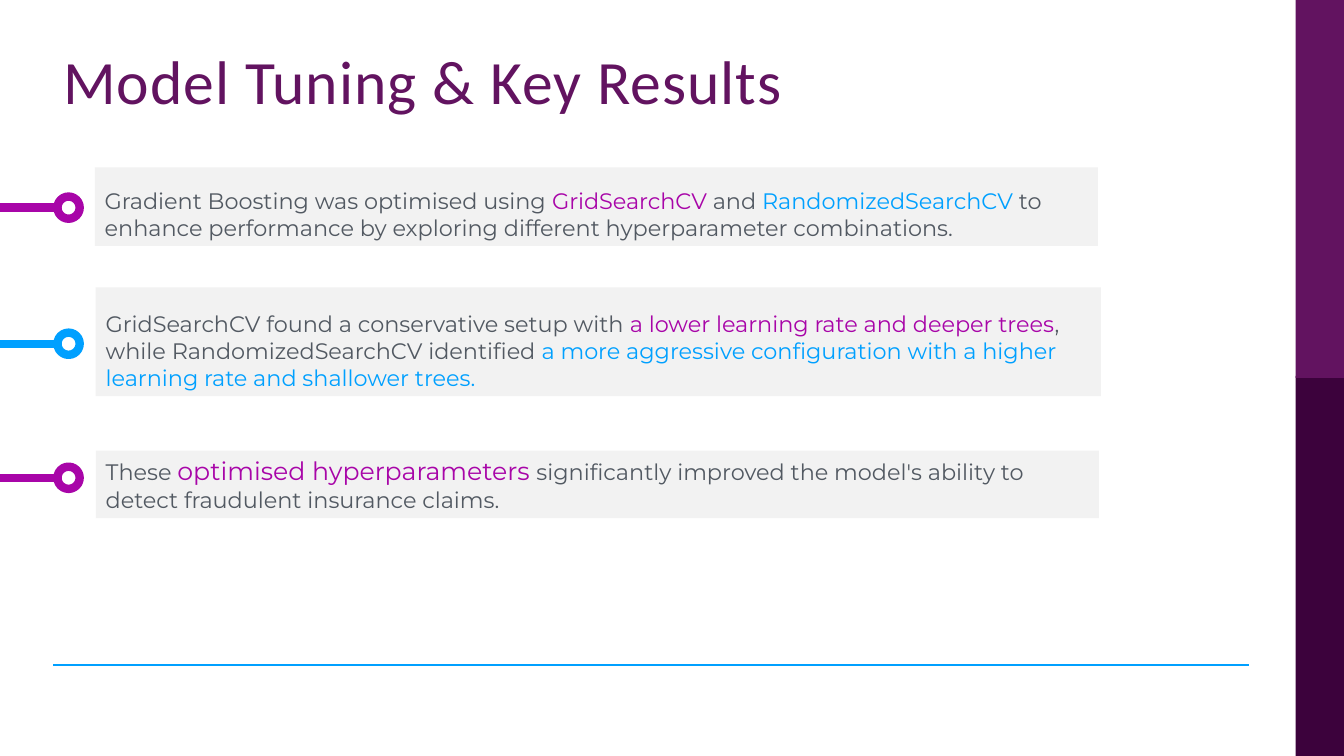
from dataclasses import dataclass

from lxml.etree import SubElement
from pptx import Presentation
from pptx.dml.color import RGBColor
from pptx.enum.shapes import MSO_CONNECTOR, MSO_SHAPE
from pptx.enum.text import MSO_ANCHOR, MSO_AUTO_SIZE, PP_ALIGN
from pptx.oxml.ns import qn
from pptx.shapes.autoshape import Shape
from pptx.slide import Slide
from pptx.util import Emu, Pt

EMU_PER_PX = 9144  # 100 px to the inch
SLIDE_WIDTH, SLIDE_HEIGHT = 1333, 750

WHITE = "FFFFFF"
PANEL = "F2F2F2"
TEXT = "525962"
MAGENTA = "A805A8"
BLUE = "00A0FF"
PURPLE = "621360"
DARK_PURPLE = "3C023C"

MARKER_X, MARKER_SIZE = 68, 22
MARKER_LINE = 6


@dataclass(frozen=True)
class Box:
    left: int
    top: int
    width: int
    height: int


@dataclass(frozen=True)
class Phrase:
    text: str
    color: str = TEXT
    size: int = 16


@dataclass(frozen=True)
class Finding:
    panel: Box
    marker_y: int
    accent: str
    phrases: tuple[Phrase, ...]
    grows: bool = False


SIDEBARS = (
    (Box(1285, 373, 48, 377), DARK_PURPLE),
    (Box(1285, 0, 48, 375), PURPLE),
)

FINDINGS = (
    Finding(Box(94, 166, 995, 78), 206, MAGENTA, (
        Phrase("Gradient Boosting was optimised using "),
        Phrase("GridSearchCV", MAGENTA),
        Phrase(" and "),
        Phrase("RandomizedSearchCV", BLUE),
        Phrase(" to enhance performance by exploring different "
               "hyperparameter combinations."),
    )),
    Finding(Box(95, 285, 997, 108), 341, BLUE, (
        Phrase("GridSearchCV found a conservative setup with "),
        Phrase("a lower learning rate and deeper trees", MAGENTA),
        Phrase(", while RandomizedSearchCV identified "),
        Phrase("a more aggressive configuration with a higher learning rate "
               "and shallower trees.", BLUE),
    )),
    Finding(Box(95, 447, 995, 67), 474, MAGENTA, (
        Phrase("These "),
        Phrase("optimised hyperparameters ", MAGENTA, 18),
        Phrase("significantly improved the model's ability to detect "
               "fraudulent insurance claims."),
    ), grows=True),
)


def px(length: int) -> Emu:
    return Emu(length * EMU_PER_PX)


def rgb(color: str) -> RGBColor:
    return RGBColor.from_string(color)


def add_filled_shape(slide: Slide, kind: MSO_SHAPE, box: Box, fill: str) -> Shape:
    shape = slide.shapes.add_shape(
        kind, px(box.left), px(box.top), px(box.width), px(box.height))
    shape.shadow.inherit = False
    shape.fill.solid()
    shape.fill.fore_color.rgb = rgb(fill)
    shape.line.fill.background()
    return shape


def add_horizontal_line(slide: Slide, left: int, right: int, y: int,
                        color: str, width: float) -> None:
    line = slide.shapes.add_connector(
        MSO_CONNECTOR.STRAIGHT, px(left), px(y), px(right), px(y))
    line.line.color.rgb = rgb(color)
    line.line.width = Pt(width)
    SubElement(line._element.spPr, qn("a:effectLst"))


def add_title(slide: Slide, text: str) -> None:
    title = slide.shapes.add_textbox(px(53), px(61), px(1183), px(100))
    title.text_frame.word_wrap = True
    paragraph = title.text_frame.paragraphs[0]
    paragraph.line_spacing = Pt(36)
    paragraph.font.name = "Calibri"
    paragraph.font.size = Pt(44)
    paragraph.font.color.rgb = rgb(PURPLE)
    run = paragraph.add_run()
    run.text = text
    run._r.get_or_add_rPr().set("spc", "70")  # letter spacing, 1/100 pt


def add_marker(slide: Slide, y: int, color: str) -> None:
    add_horizontal_line(slide, 0, MARKER_X, y, color, MARKER_LINE)
    half = MARKER_SIZE // 2
    ring = add_filled_shape(
        slide, MSO_SHAPE.FLOWCHART_CONNECTOR,
        Box(MARKER_X - half, y - half, MARKER_SIZE, MARKER_SIZE), WHITE)
    ring.line.color.rgb = rgb(color)
    ring.line.width = Pt(MARKER_LINE)


def add_finding(slide: Slide, finding: Finding) -> None:
    add_marker(slide, finding.marker_y, finding.accent)
    panel = add_filled_shape(slide, MSO_SHAPE.RECTANGLE, finding.panel, PANEL)
    frame = panel.text_frame
    frame.word_wrap = True
    frame.vertical_anchor = MSO_ANCHOR.TOP if finding.grows else MSO_ANCHOR.BOTTOM
    if finding.grows:
        frame.auto_size = MSO_AUTO_SIZE.SHAPE_TO_FIT_TEXT
    paragraph = frame.paragraphs[0]
    paragraph.alignment = PP_ALIGN.LEFT
    paragraph.font.name = "Montserrat"
    for phrase in finding.phrases:
        run = paragraph.add_run()
        run.text = phrase.text
        run.font.size = Pt(phrase.size)
        run.font.color.rgb = rgb(phrase.color)


def main() -> None:
    presentation = Presentation()
    presentation.slide_width = px(SLIDE_WIDTH)
    presentation.slide_height = px(SLIDE_HEIGHT)
    slide = presentation.slides.add_slide(presentation.slide_layouts[6])

    # Side bars and footer rule
    for box, color in SIDEBARS:
        add_filled_shape(slide, MSO_SHAPE.RECTANGLE, box, color)
    add_horizontal_line(slide, 53, 1239, 660, BLUE, 1.5)

    # Title and findings
    add_title(slide, "Model Tuning & Key Results")
    for finding in FINDINGS:
        add_finding(slide, finding)

    presentation.save("out.pptx")


if __name__ == "__main__":
    main()
